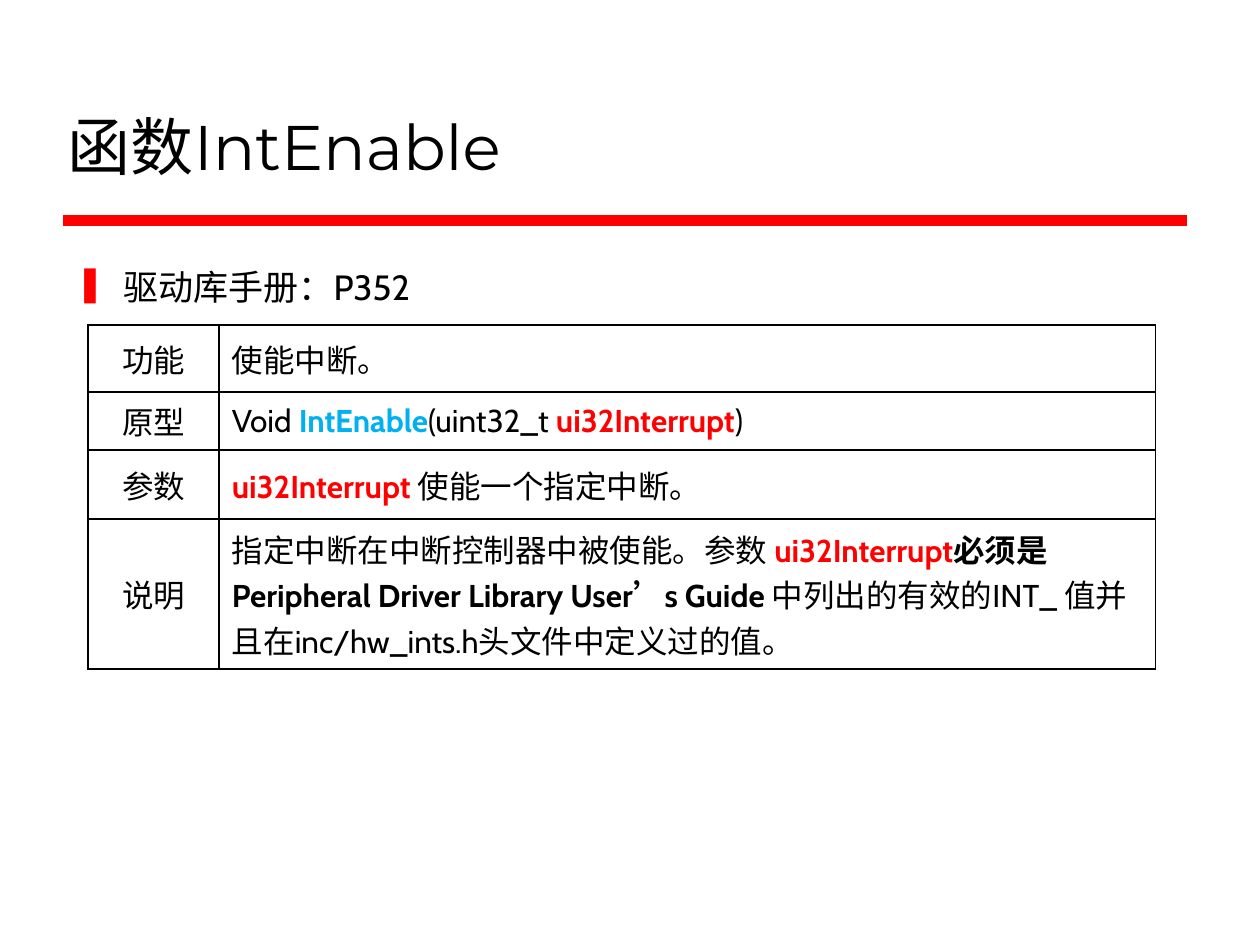
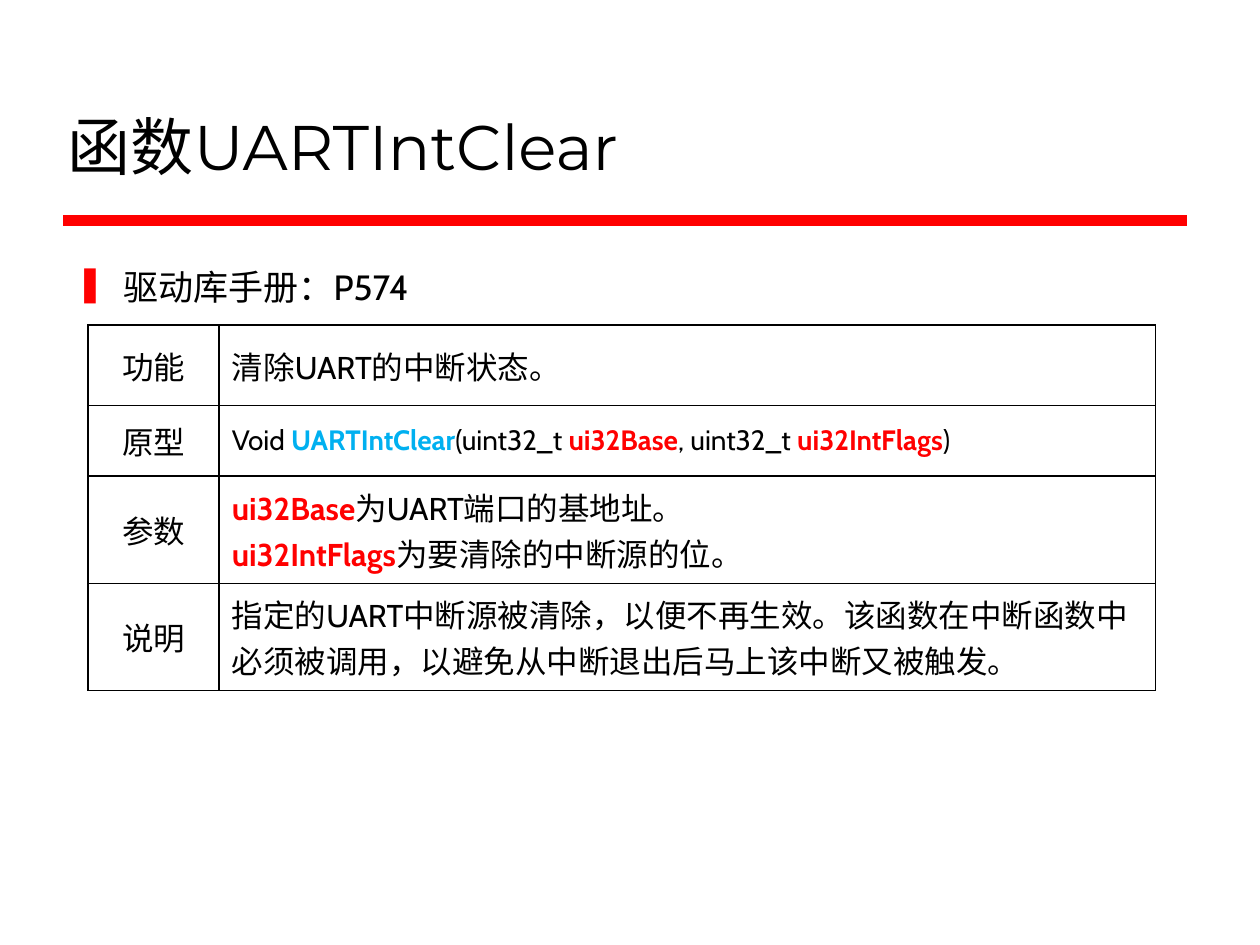
from pptx import Presentation
from pptx.dml.color import RGBColor
from pptx.enum.lang import MSO_LANGUAGE_ID
from pptx.enum.shapes import MSO_CONNECTOR
from pptx.enum.text import MSO_ANCHOR, PP_ALIGN
from pptx.oxml import parse_xml
from pptx.oxml.ns import nsdecls
from pptx.util import Inches, Pt

BLACK = RGBColor(0, 0, 0)
RED = RGBColor(0xFF, 0, 0)
BLUE = RGBColor(0, 0xB0, 0xF0)
HEAD, BODY = "Montserrat", "Cabin"
LABELS = ["功能", "原型", "参数", "说明"]

# Each cell is a list of paragraphs; each paragraph is a list of runs.
# A run is plain text, or (text, colour) when it is bold.
PAGES = [
    {
        "name": "IntEnable", "page": "P352", "size": 18,
        "rows": [0.53, 0.46, 0.55, 1.19],
        "cells": [
            [["使能中断。"]],
            [["Void ", ("IntEnable", BLUE), "(uint32_t ",
              ("ui32Interrupt", RED), ")"]],
            [[("ui32Interrupt ", RED), "使能一个指定中断。"]],
            [["指定中断在中断控制器中被使能。参数 ",
              ("ui32Interrupt", RED), ("必须是", BLACK)],
             [("Peripheral Driver Library User’s Guide ", BLACK),
              "中列出的有效的INT_ 值并且在inc/hw_ints.h头文件中定义过的值。"]],
        ],
    },
    {
        "name": "UARTIntClear", "page": "P574", "size": 16,
        "rows": [0.64, 0.56, 0.85, 0.85],
        "cells": [
            [["清除UART的中断状态。"]],
            [["Void ", ("UARTIntClear", BLUE), "(uint32_t ",
              ("ui32Base", RED), ", uint32_t ", ("ui32IntFlags", RED), ")"]],
            [[("ui32Base", RED), "为UART端口的基地址。"],
             [("ui32IntFlags", RED), "为要清除的中断源的位。"]],
            [["指定的UART中断源被清除，以便不再生效。该函数在中断函数"
              "中必须被调用，以避免从中断退出后马上该中断又被触发。"]],
        ],
    },
]


def write(frame, paras, size, face=BODY):
    """Fill a text frame with paragraphs of plain and bold runs."""
    frame.word_wrap = True
    for i, runs in enumerate(paras):
        para = frame.paragraphs[0] if i == 0 else frame.add_paragraph()
        for part in runs:
            bold = isinstance(part, tuple)
            run = para.add_run()
            run.text = part[0] if bold else part
            font = run.font
            font.name, font.size, font.bold = face, Pt(size), bold
            font.color.rgb = part[1] if bold else BLACK
            font.language_id = MSO_LANGUAGE_ID.SIMPLIFIED_CHINESE


def frame_cell(cell):
    """Clear the fill of a cell and draw its four borders."""
    cell.fill.background()
    cell.vertical_anchor = MSO_ANCHOR.MIDDLE
    props = cell._tc.get_or_add_tcPr()
    for i, side in enumerate("LRTB"):
        props.insert(i, parse_xml(
            f'<a:ln{side} {nsdecls("a")} w="12700"><a:solidFill>'
            f'<a:srgbClr val="{BLACK}"/></a:solidFill></a:ln{side}>'))


prs = Presentation()
prs.slide_width, prs.slide_height = Inches(10), Inches(7.5)

for page in PAGES:
    slide = prs.slides.add_slide(prs.slide_layouts[6])
    shapes = slide.shapes

    rule = shapes.add_connector(MSO_CONNECTOR.STRAIGHT, Inches(0.5),
                                Inches(1.75), Inches(9.42), Inches(1.75))
    rule.line.color.rgb = RED
    rule.line.width = Pt(6)
    rule._element.spPr.append(parse_xml(f'<a:effectLst {nsdecls("a")}/>'))

    title = shapes.add_textbox(Inches(0.44), Inches(0.25),
                               Inches(8.97), Inches(1.25)).text_frame
    title.vertical_anchor = MSO_ANCHOR.BOTTOM
    write(title, [["函数" + page["name"]]], 36, HEAD)

    body = shapes.add_textbox(Inches(0.5), Inches(2.06),
                              Inches(8.94), Inches(4.56)).text_frame
    write(body, [["驱动库手册：" + page["page"]]], 20)
    para = body.paragraphs[0]
    para.space_before = Pt(5)
    props = para._p.get_or_add_pPr()
    props.set("marL", str(Inches(0.38)))
    props.set("indent", str(-Inches(0.38)))
    for tag in (f'buClr {nsdecls("a")}><a:srgbClr val="{RED}"/></a:buClr',
                f'buChar {nsdecls("a")} char="❚"/'):
        props.append(parse_xml(f"<a:{tag}>"))

    grid = shapes.add_table(4, 2, Inches(0.7), Inches(2.58), Inches(8.47),
                            Inches(sum(page["rows"]))).table
    grid.first_row = grid.horz_banding = False
    grid.columns[0].width = Inches(1.04)
    grid.columns[1].width = Inches(7.43)
    for i, (label, paras) in enumerate(zip(LABELS, page["cells"])):
        grid.rows[i].height = Inches(page["rows"][i])
        left, right = grid.cell(i, 0), grid.cell(i, 1)
        write(left.text_frame, [[label]], 18)
        left.text_frame.paragraphs[0].alignment = PP_ALIGN.CENTER
        write(right.text_frame, paras, page["size"] if i == 1 else 18)
        frame_cell(left)
        frame_cell(right)
    first = grid.cell(0, 1).text_frame.paragraphs[0]
    first.space_before = first.space_after = Pt(6)

prs.save("out.pptx")
